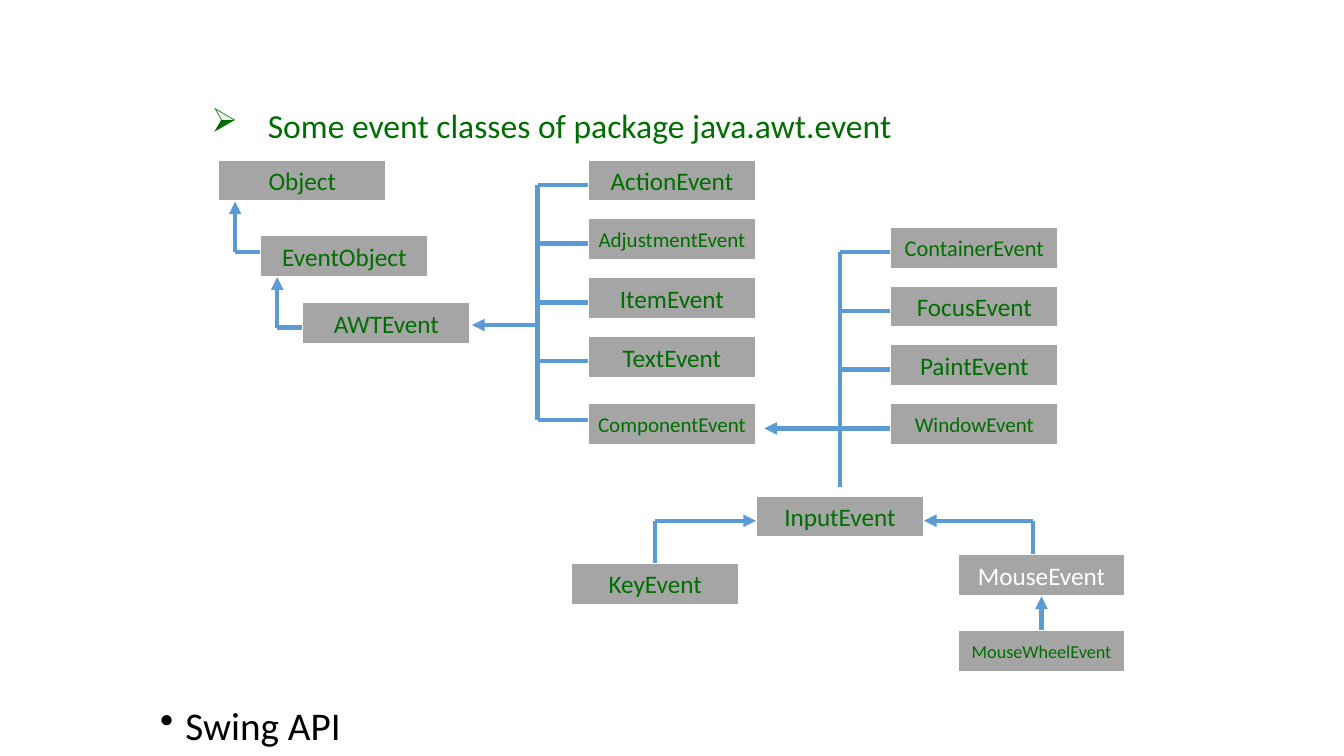
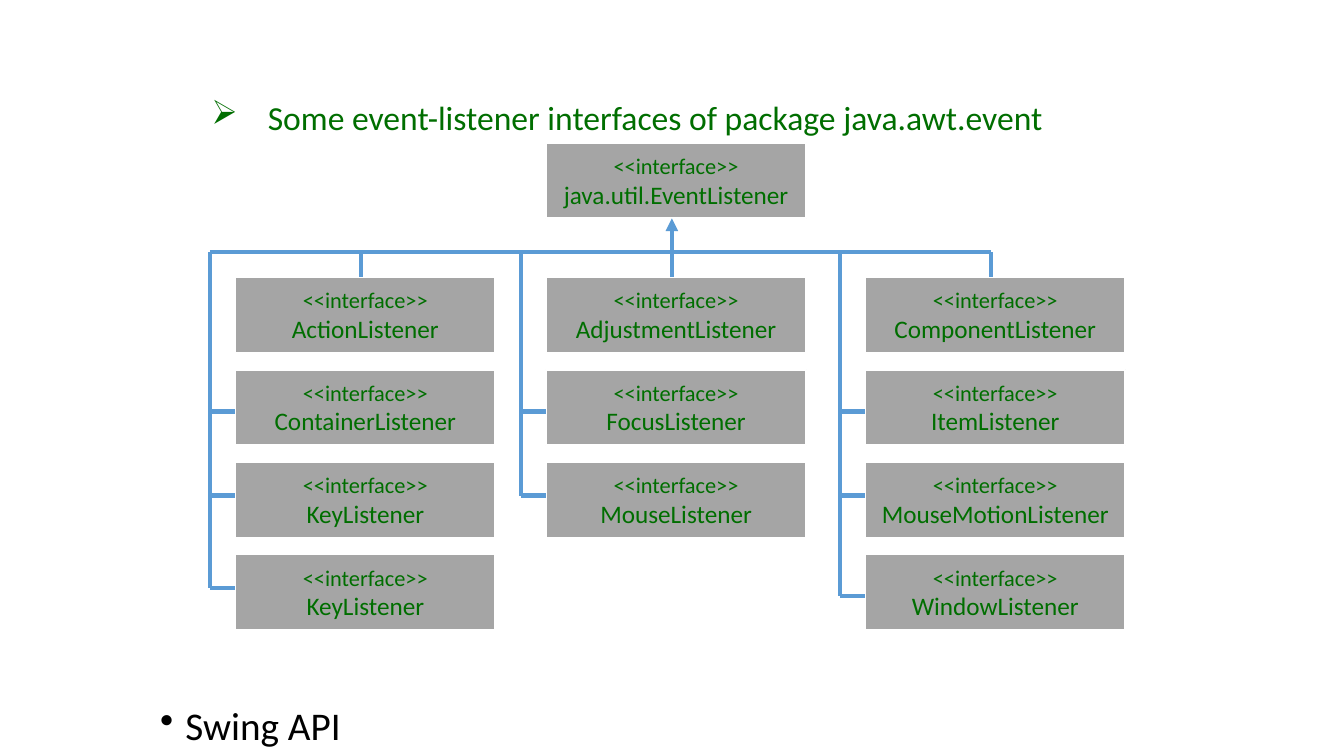
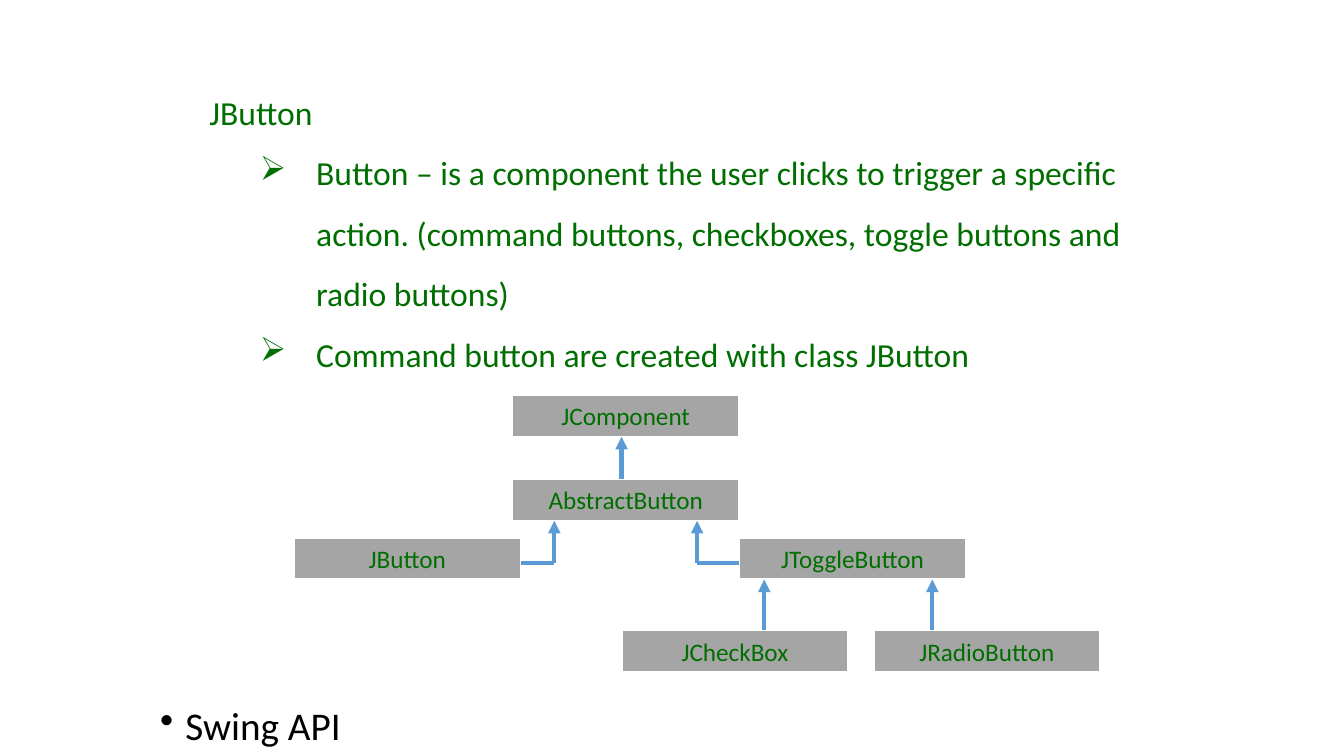
from dataclasses import dataclass

from lxml import etree
from pptx import Presentation
from pptx.dml.color import RGBColor
from pptx.enum.shapes import MSO_CONNECTOR, MSO_SHAPE
from pptx.enum.text import MSO_ANCHOR, MSO_AUTO_SIZE, PP_ALIGN
from pptx.oxml.ns import qn
from pptx.util import Cm, Pt

RECTANGLE = MSO_SHAPE.RECTANGLE
STRAIGHT = MSO_CONNECTOR.STRAIGHT
TOP, MIDDLE = MSO_ANCHOR.TOP, MSO_ANCHOR.MIDDLE
LEFT, CENTER = PP_ALIGN.LEFT, PP_ALIGN.CENTER
NO_AUTOFIT = MSO_AUTO_SIZE.NONE
TITLE_ONLY = 5


@dataclass(frozen=True)
class Theme:
    font: str = "Calibri"
    green: RGBColor = RGBColor(0x00, 0x6E, 0x00)
    white: RGBColor = RGBColor(0xFF, 0xFF, 0xFF)
    black: RGBColor = RGBColor(0x00, 0x00, 0x00)
    gray: RGBColor = RGBColor(0xA5, 0xA5, 0xA5)
    blue: RGBColor = RGBColor(0x5B, 0x9B, 0xD5)
    title: int = 28
    heading: int = 24
    label: int = 18
    stereotype: int = 16
    outline: float = 1.5
    connector: int = 3


THEME = Theme()

# Diagrams sit on a grid of twelve cells to the inch.
CELL = Cm(2.54) / 12

TITLE = "Swing API"
TITLE_BOX = (Cm(3.78), Cm(17.68), Cm(18.24), Cm(1.09))
HANGING = Cm(1.42)

# Heading paragraphs: text, left margin, bullet
CLASSES_HEADING = [("Some event classes of package java.awt.event", HANGING, "➢")]
LISTENERS_HEADING = [
    ("Some event-listener interfaces of package java.awt.event", HANGING, "➢")]
BUTTON_HEADING = [
    ("JButton", HANGING, None),
    ("Button – is a component the user clicks to trigger a specific action. "
     "(command buttons, checkboxes, toggle buttons and radio buttons)", Cm(2.69), "➢"),
    ("Command button are created with class JButton", Cm(2.69), "➢"),
]

# Boxes: name, left, top, in grid cells
EVENT_SIZE = (20, 5)
EVENT_CLASSES = [
    ("Object", 26, 19), ("EventObject", 31, 28), ("AWTEvent", 36, 36),
    ("ActionEvent", 70, 19), ("AdjustmentEvent", 70, 26), ("ItemEvent", 70, 33),
    ("TextEvent", 70, 40), ("ComponentEvent", 70, 48),
    ("ContainerEvent", 106, 27), ("FocusEvent", 106, 34),
    ("PaintEvent", 106, 41), ("WindowEvent", 106, 48),
    ("InputEvent", 90, 59), ("MouseEvent", 114, 66),
    ("MouseWheelEvent", 114, 75), ("KeyEvent", 68, 67),
]
EVENT_LABEL_SIZES = {"AdjustmentEvent": 15, "ComponentEvent": 15, "WindowEvent": 15,
                     "ContainerEvent": 16, "MouseWheelEvent": 13}
EVENT_LABEL_COLORS = {"MouseEvent": THEME.white}

# Trees: trunk x, trunk top, trunk bottom, branch end x, branch heights
EVENT_TREES = [(64, 22, 50, 70, (22, 29, 36, 43, 50)),
               (100, 30, 58, 106, (30, 37, 44, 51))]
# Lines and arrows: start x, start y, end x, end y
EVENT_LINES = [(33, 39, 36, 39), (28, 30, 31, 30), (123, 62, 123, 66), (78, 62, 78, 67)]
EVENT_ARROWS = [(64, 38.7, 56.2, 38.7), (33, 39, 33, 33), (28, 30, 28, 24),
                (100, 51, 91, 51), (78, 62, 90, 62), (124, 75, 124, 71),
                (123, 62, 110, 62)]

LISTENER_SIZE = (31, 9)
LISTENER_ROOT = ("java.util.EventListener", 65, 17)
LISTENER_TOP, LISTENER_PITCH = 33, 11
BUS_TOP = 30
# Columns: left, names, branch heights
LISTENER_COLUMNS = [
    (28, ["ActionListener", "ContainerListener", "KeyListener", "KeyListener"],
     (49, 59, 70)),
    (65, ["AdjustmentListener", "FocusListener", "MouseListener"], (49, 59)),
    (103, ["ComponentListener", "ItemListener", "MouseMotionListener", "WindowListener"],
     (49, 59, 71)),
]

BUTTON_SIZE = (27, 5)
BUTTON_CLASSES = [("JComponent", 61, 47), ("AbstractButton", 61, 57), ("JButton", 35, 64),
                  ("JToggleButton", 88, 64), ("JCheckBox", 74, 75),
                  ("JRadioButton", 104, 75)]
BUTTON_LINES = [(62, 67, 66, 67), (83, 67, 88, 67)]
BUTTON_ARROWS = [(74, 57, 74, 52), (66, 67, 66, 62), (83, 67, 83, 62),
                 (91, 75, 91, 69), (111, 75, 111, 69)]


def cells(*values):
    return [round(value * CELL) for value in values]


def format_runs(paragraph, size, color):
    for run in paragraph.runs:
        run.font.name = THEME.font
        run.font.size = Pt(size)
        run.font.color.rgb = color


def set_bullet(paragraph, margin, hanging, bullet):
    properties = paragraph._p.get_or_add_pPr()
    properties.set("marL", str(margin))
    properties.set("indent", str(-hanging))
    if bullet:
        etree.SubElement(properties, qn("a:buChar")).set("char", bullet)
    else:
        etree.SubElement(properties, qn("a:buNone"))


def add_slide(presentation, heading, left, top, height):
    """Add a slide with its bottom title and its green heading text."""
    slide = presentation.slides.add_slide(presentation.slide_layouts[TITLE_ONLY])
    title = slide.shapes.title
    title.left, title.top, title.width, title.height = TITLE_BOX
    frame = title.text_frame
    frame.text = TITLE
    frame.auto_size = NO_AUTOFIT
    frame.vertical_anchor = TOP
    paragraph = frame.paragraphs[0]
    set_bullet(paragraph, Cm(0.64), Cm(0.64), "•")
    paragraph.alignment = LEFT
    paragraph.line_spacing = 0.9
    format_runs(paragraph, THEME.title, THEME.black)

    frame = slide.shapes.add_textbox(left, top, Cm(23.7), height).text_frame
    frame.word_wrap = True
    frame.text = "\n".join(text for text, _, _ in heading)
    for paragraph, (_, margin, bullet) in zip(frame.paragraphs, heading):
        set_bullet(paragraph, margin, HANGING, bullet)
        paragraph.line_spacing = 1.5
        format_runs(paragraph, THEME.heading, THEME.green)
    return slide


class Diagram:
    """Boxes and connectors placed in grid cells on one slide."""

    def __init__(self, slide, box_size):
        self.shapes = slide.shapes
        self.box_size = box_size
        self.side_middles = {}

    def add_box(self, name, left, top, size=THEME.label, color=THEME.green,
                stereotype=None):
        width, height = self.box_size
        box = self.shapes.add_shape(RECTANGLE, *cells(left, top, width, height))
        box.shadow.inherit = False
        box.fill.solid()
        box.fill.fore_color.rgb = THEME.gray
        box.line.color.rgb = THEME.white
        box.line.width = Pt(THEME.outline)
        frame = box.text_frame
        frame.word_wrap = False
        frame.vertical_anchor = MIDDLE
        rows = [(stereotype, THEME.stereotype)] if stereotype else []
        rows.append((name, size))
        frame.text = "\n".join(text for text, _ in rows)
        for paragraph, (_, row_size) in zip(frame.paragraphs, rows):
            paragraph.alignment = CENTER
            format_runs(paragraph, row_size, color)
        middles = [(left + width / 2, top), (left, top + height / 2),
                   (left + width / 2, top + height), (left + width, top + height / 2)]
        for site, middle in enumerate(middles):
            self.side_middles[middle] = (box, site)

    def add_line(self, x1, y1, x2, y2, arrow=False):
        """Draw a line, joined to a box where it ends at the middle of a side."""
        line = self.shapes.add_connector(STRAIGHT, *cells(x1, y1, x2, y2))
        line.line.color.rgb = THEME.blue
        line.line.width = Pt(THEME.connector)
        if arrow:
            etree.SubElement(line.line._get_or_add_ln(), qn("a:tailEnd")).set(
                "type", "triangle")
        etree.SubElement(line._element.spPr, qn("a:effectLst"))
        if (x1, y1) in self.side_middles:
            line.begin_connect(*self.side_middles[x1, y1])
        if (x2, y2) in self.side_middles:
            line.end_connect(*self.side_middles[x2, y2])

    def add_lines(self, lines, arrows):
        for line in lines:
            self.add_line(*line)
        for arrow in arrows:
            self.add_line(*arrow, arrow=True)

    def add_tree(self, trunk, top, bottom, branch_end, heights):
        self.add_line(trunk, top, trunk, bottom)
        for height in heights:
            self.add_line(trunk, height, branch_end, height)


def build_event_classes(presentation):
    slide = add_slide(presentation, CLASSES_HEADING, Cm(5.08), Cm(2.01), Cm(1.8))
    diagram = Diagram(slide, EVENT_SIZE)
    for name, left, top in EVENT_CLASSES:
        diagram.add_box(name, left, top, EVENT_LABEL_SIZES.get(name, THEME.label),
                        EVENT_LABEL_COLORS.get(name, THEME.green))
    for tree in EVENT_TREES:
        diagram.add_tree(*tree)
    diagram.add_lines(EVENT_LINES, EVENT_ARROWS)


def build_listeners(presentation):
    slide = add_slide(presentation, LISTENERS_HEADING, Cm(5.08), Cm(1.8), Cm(1.8))
    diagram = Diagram(slide, LISTENER_SIZE)
    boxes = [LISTENER_ROOT]
    for left, names, _ in LISTENER_COLUMNS:
        boxes += [(name, left, LISTENER_TOP + row * LISTENER_PITCH)
                  for row, name in enumerate(names)]
    for box in boxes:
        diagram.add_box(*box, stereotype="<<interface>>")

    half_width = LISTENER_SIZE[0] // 2
    first_left, last_left = LISTENER_COLUMNS[0][0], LISTENER_COLUMNS[-1][0]
    diagram.add_line(first_left - 3, BUS_TOP, last_left + half_width, BUS_TOP)
    for left, _, heights in LISTENER_COLUMNS:
        diagram.add_tree(left - 3, BUS_TOP, heights[-1], left, heights)
        center = left + half_width
        if left == LISTENER_ROOT[1]:
            root_bottom = LISTENER_ROOT[2] + LISTENER_SIZE[1]
            diagram.add_line(center, LISTENER_TOP, center, root_bottom, arrow=True)
        else:
            diagram.add_line(center, BUS_TOP, center, LISTENER_TOP)


def build_buttons(presentation):
    slide = add_slide(presentation, BUTTON_HEADING, Cm(5.03), Cm(1.68), Cm(7.95))
    diagram = Diagram(slide, BUTTON_SIZE)
    for box in BUTTON_CLASSES:
        diagram.add_box(*box)
    diagram.add_lines(BUTTON_LINES, BUTTON_ARROWS)


def main():
    presentation = Presentation()
    presentation.slide_width, presentation.slide_height = Cm(33.87), Cm(19.05)
    build_event_classes(presentation)
    build_listeners(presentation)
    build_buttons(presentation)
    presentation.save("out.pptx")


if __name__ == "__main__":
    main()
